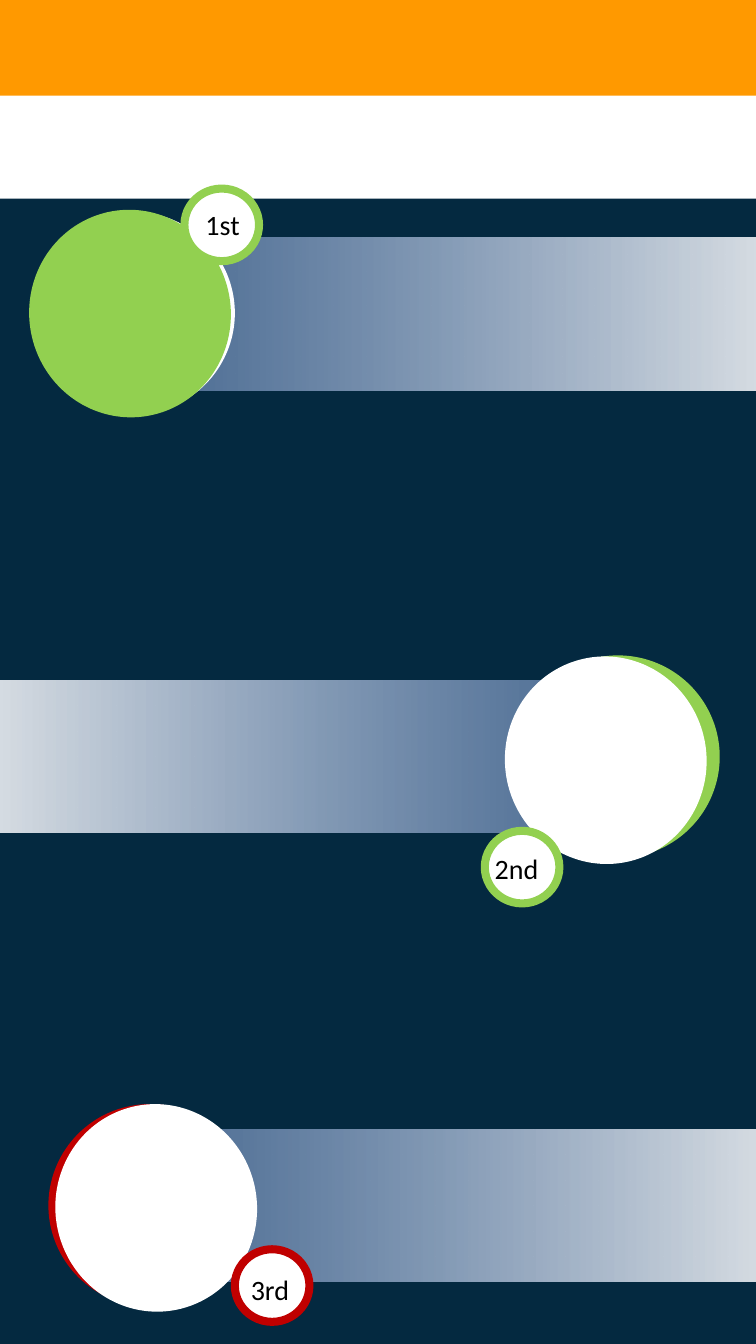
import pptx
import pptx.dml.color
import pptx.enum.shapes
import pptx.enum.text
import pptx.oxml.ns
import pptx.util
from lxml import etree

PX = 9144  # EMU per px, 100 px to the inch
COLORS = {
    "navy": "042940",
    "orange": "FF9900",
    "white": "FFFFFF",
    "green": "92D050",
    "red": "C00000",
    "black": "000000",
    "pale": "F6F8FC",
    "blue": "8FAADC",
}
SHAPES = pptx.enum.shapes.MSO_SHAPE


def rgb(color):
    return pptx.dml.color.RGBColor.from_string(COLORS[color])


class Poster:
    font = "Calibri"
    text_size = 20
    ring_width = 5.75
    fade = (("pale", 87), ("blue", 55))  # colour and opacity in percent

    def __init__(self, slide):
        self.slide = slide

    def shape(self, kind, box, rotation=0):
        shape = self.slide.shapes.add_shape(kind, *(n * PX for n in box))
        shape.shadow.inherit = False
        shape.rotation = rotation
        shape.line.fill.background()
        return shape

    def block(self, box, color):
        block = self.shape(SHAPES.RECTANGLE, box)
        block.fill.solid()
        block.fill.fore_color.rgb = rgb(color)

    def band(self, box, rotation):
        band = self.shape(SHAPES.RECTANGLE, box, rotation)
        band.fill.gradient()
        band.fill.gradient_angle = 180
        for stop, (color, _) in zip(band.fill.gradient_stops, self.fade):
            stop.color.rgb = rgb(color)
        tints = band._element.spPr.iter(pptx.oxml.ns.qn("a:srgbClr"))
        for tint, (_, opacity) in zip(tints, self.fade):
            alpha = etree.SubElement(tint, pptx.oxml.ns.qn("a:alpha"))
            alpha.set("val", str(opacity * 1000))

    def disc(self, box, color, rotation=0):
        disc = self.shape(SHAPES.OVAL, box, rotation)
        disc.fill.solid()
        disc.fill.fore_color.rgb = rgb(color)
        return disc

    def ring(self, box, color):
        ring = self.disc(box, "white")
        ring.line.color.rgb = rgb(color)
        ring.line.width = pptx.util.Pt(self.ring_width)

    def label(self, box, text):
        label = self.slide.shapes.add_textbox(*(n * PX for n in box))
        frame = label.text_frame
        frame.word_wrap = True
        frame.auto_size = pptx.enum.text.MSO_AUTO_SIZE.SHAPE_TO_FIT_TEXT
        paragraph = frame.paragraphs[0]
        paragraph.text = text
        paragraph.font.name = self.font
        paragraph.font.size = pptx.util.Pt(self.text_size)
        paragraph.font.color.rgb = rgb("black")


# Each place: text, label box, band box, band rotation,
# back disc corner and colour, front disc corner and colour, ring corner and colour
PLACES = [
    ("1st", (194, 201, 80, 44), (169, 236, 582, 151), 0,
     (31, 210), "white", (29, 208), "green", (183, 187), "green"),
    ("2nd", (481, 840, 80, 44), (-1, 675, 582, 151), 180,
     (512, 650), "green", (501, 651), "white", (481, 824), "green"),
    ("3rd", (239, 1257, 67, 44), (174, 1120, 580, 151), 0,
     (48, 1095), "red", (55, 1095), "white", (233, 1239), "red"),
]


def main():
    prs = pptx.Presentation()
    prs.slide_width = 750 * PX
    prs.slide_height = 1333 * PX
    poster = Poster(prs.slides.add_slide(prs.slide_layouts[6]))

    # Backdrop and header
    poster.block((0, 197, 750, 1153), "navy")
    poster.block((0, 0, 750, 95), "orange")

    # Ranked places
    for (text, label_box, band_box, turn, back, back_color,
         front, front_color, ring, ring_color) in PLACES:
        poster.band(band_box, turn)
        poster.disc((*back, 202, 201), back_color)
        poster.disc((*front, 200, 206), front_color, 351)
        poster.ring((*ring, 74, 72), ring_color)
        poster.label(label_box, text)

    prs.save("out.pptx")


if __name__ == "__main__":
    main()
